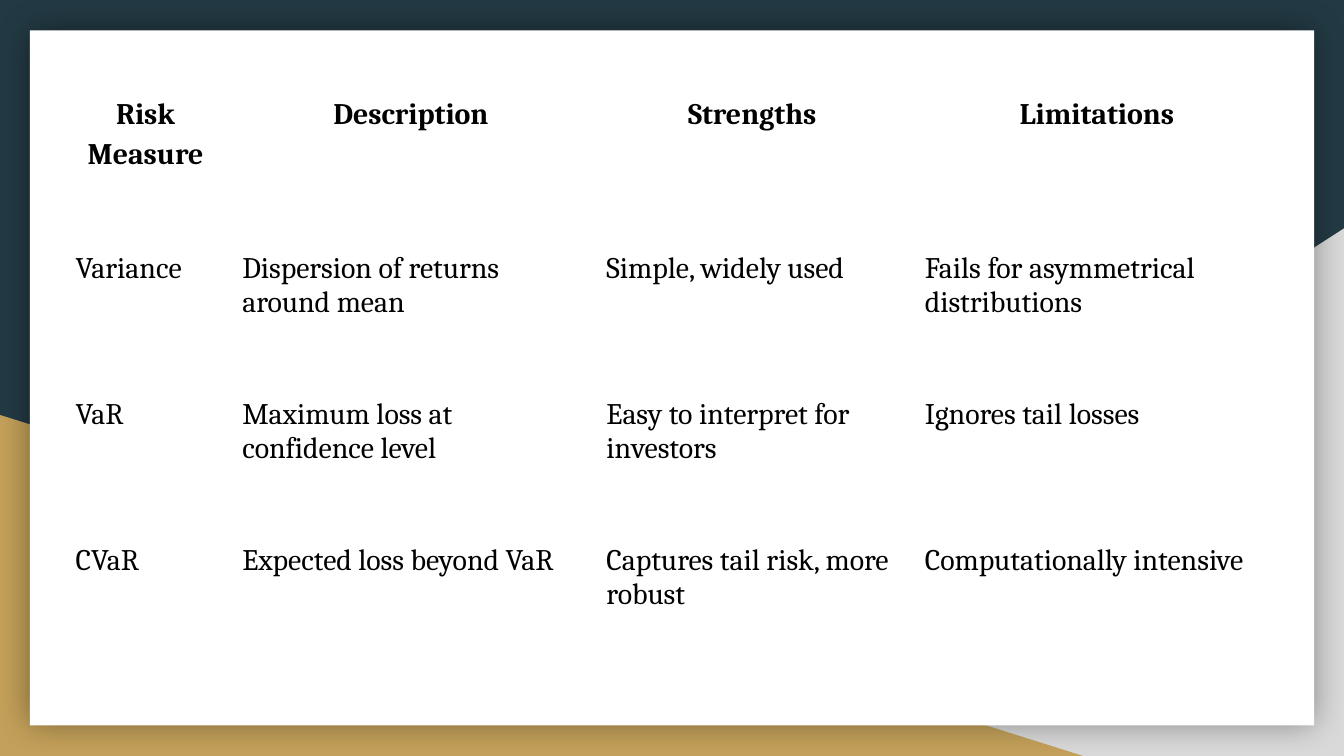
"""Build a slide that compares risk measures in a table."""
import dataclasses

import lxml.etree
import pptx
import pptx.dml.color
import pptx.enum.shapes
import pptx.enum.text
import pptx.oxml
import pptx.oxml.ns
import pptx.util

Pt = pptx.util.Pt
SHAPES = pptx.enum.shapes.MSO_SHAPE
ALIGN = pptx.enum.text.PP_ALIGN


@dataclasses.dataclass(frozen=True)
class Theme:
    """Colours and type of the slide."""
    background: str = "233A44"
    grey: str = "D9D9D9"
    gold: str = "C4A15A"
    card: str = "FFFFFF"
    ink: str = "000000"
    font: str = "Cambria"
    size: int = 16


THEME = Theme()
COLUMN_WIDTHS = (89.3, 195.1, 170.6, 198.7)
ROW_HEIGHTS = (85, 78.3, 78.3, 78.3)
RISK_MEASURES = (
    ("Risk Measure", "Description", "Strengths", "Limitations"),
    ("Variance", "Dispersion of returns around mean", "Simple, widely used",
     "Fails for asymmetrical distributions"),
    ("VaR", "Maximum loss at confidence level", "Easy to interpret for investors",
     "Ignores tail losses"),
    ("CVaR", "Expected loss beyond VaR", "Captures tail risk, more robust",
     "Computationally intensive"),
)


def rgb(value):
    """Return a colour object for a hex value."""
    return pptx.dml.color.RGBColor.from_string(value)


def add_panel(slide, kind, box, colour):
    """Add a plain filled shape without an outline."""
    shape = slide.shapes.add_shape(kind, *map(Pt, box))
    shape.shadow.inherit = False
    shape.fill.solid()
    shape.fill.fore_color.rgb = rgb(colour)
    shape.line.fill.background()
    return shape


def flip_horizontally(shape):
    """Mirror a shape from left to right."""
    shape.element.spPr.find(pptx.oxml.ns.qn("a:xfrm")).set("flipH", "1")


def add_glow_shadow(shape, blur, opacity):
    """Give a shape a soft shadow on all sides."""
    effects = shape.element.spPr.find(pptx.oxml.ns.qn("a:effectLst"))
    shadow = lxml.etree.SubElement(
        effects, pptx.oxml.ns.qn("a:outerShdw"),
        blurRad=str(Pt(blur)), dist="0", dir="0", algn="ctr", rotWithShape="0")
    colour = lxml.etree.SubElement(
        shadow, pptx.oxml.ns.qn("a:srgbClr"), val=THEME.ink)
    lxml.etree.SubElement(
        colour, pptx.oxml.ns.qn("a:alpha"), val=str(opacity * 1000))


def fill_cell(cell, text, is_header):
    """Write and format the text of one table cell."""
    cell.fill.background()
    cell.margin_left = cell.margin_right = Pt(7.2)
    cell.margin_top = cell.margin_bottom = Pt(7.2)
    cell.text_frame.text = text
    paragraph = cell.text_frame.paragraphs[0]
    if is_header:
        paragraph.alignment = ALIGN.CENTER
        paragraph.line_spacing = 1.15
    font = paragraph.runs[0].font
    font.name = THEME.font
    font.size = Pt(THEME.size)
    font.bold = is_header
    font.color.rgb = rgb(THEME.ink)


def add_risk_table(slide, left, top):
    """Add the table of risk measures."""
    table = slide.shapes.add_table(
        len(ROW_HEIGHTS), len(COLUMN_WIDTHS), Pt(left), Pt(top),
        Pt(sum(COLUMN_WIDTHS)), Pt(sum(ROW_HEIGHTS))).table
    table.first_row = False
    table.horz_banding = False
    for column, width in zip(table.columns, COLUMN_WIDTHS):
        column.width = Pt(width)
    for row_index, (row, height) in enumerate(zip(table.rows, ROW_HEIGHTS)):
        row.height = Pt(height)
        for cell, text in zip(row.cells, RISK_MEASURES[row_index]):
            fill_cell(cell, text, row_index == 0)


def main():
    """Build and save the presentation."""
    presentation = pptx.Presentation()
    presentation.slide_width = Pt(720)
    presentation.slide_height = Pt(405)
    slide = presentation.slides.add_slide(presentation.slide_layouts[6])
    slide.background.fill.solid()
    slide.background.fill.fore_color.rgb = rgb(THEME.background)

    grey_corner = add_panel(
        slide, SHAPES.RIGHT_TRIANGLE, (282.2, 122.4, 437.8, 282.6), THEME.grey)
    flip_horizontally(grey_corner)
    add_panel(slide, SHAPES.RIGHT_TRIANGLE, (0, 222.3, 580.3, 182.7), THEME.gold)
    card = add_panel(slide, SHAPES.RECTANGLE, (16, 16.2, 688, 372.4), THEME.card)
    add_glow_shadow(card, blur=18, opacity=40)
    add_risk_table(slide, left=33.3, top=42.5)
    presentation.save("out.pptx")


if __name__ == "__main__":
    main()
